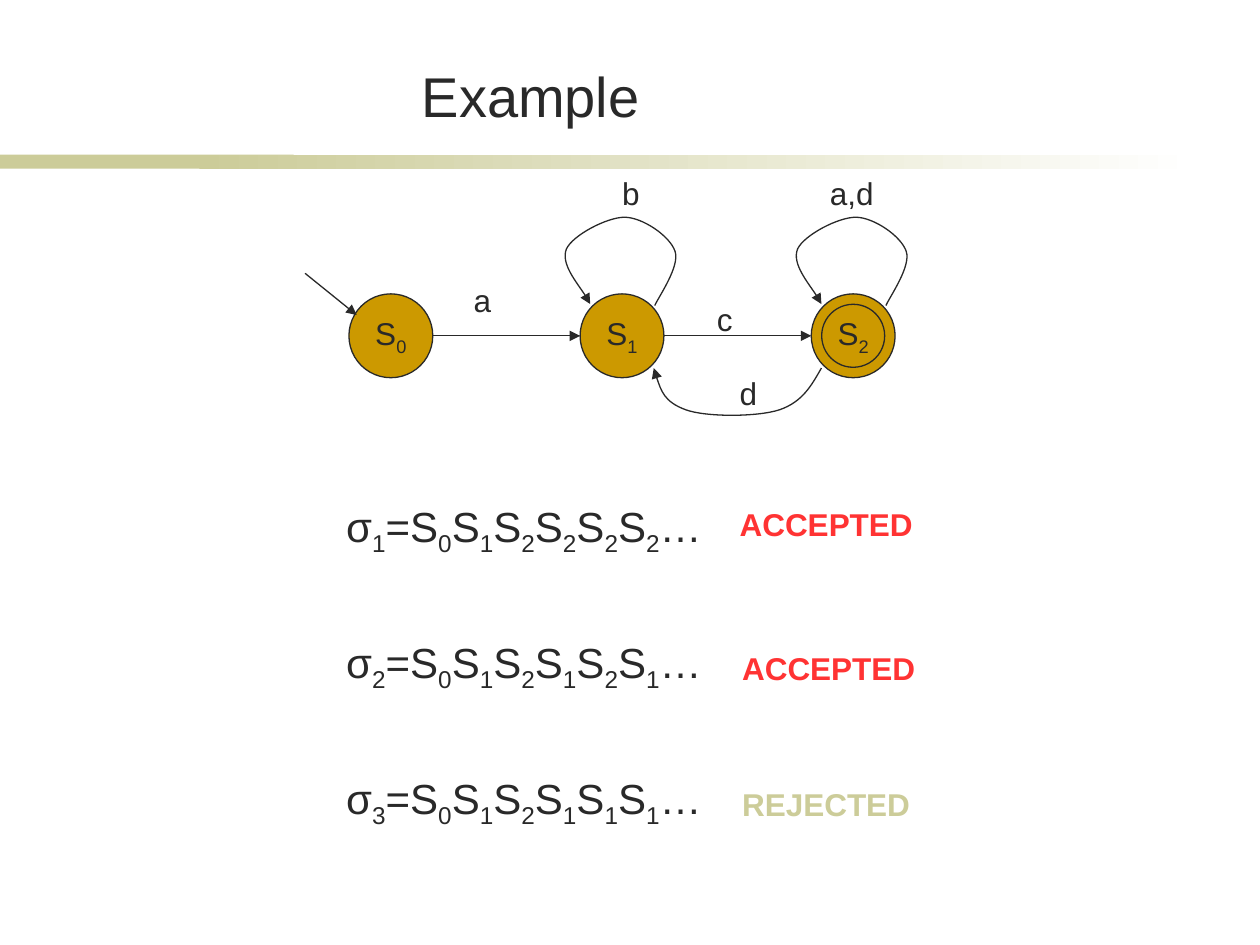
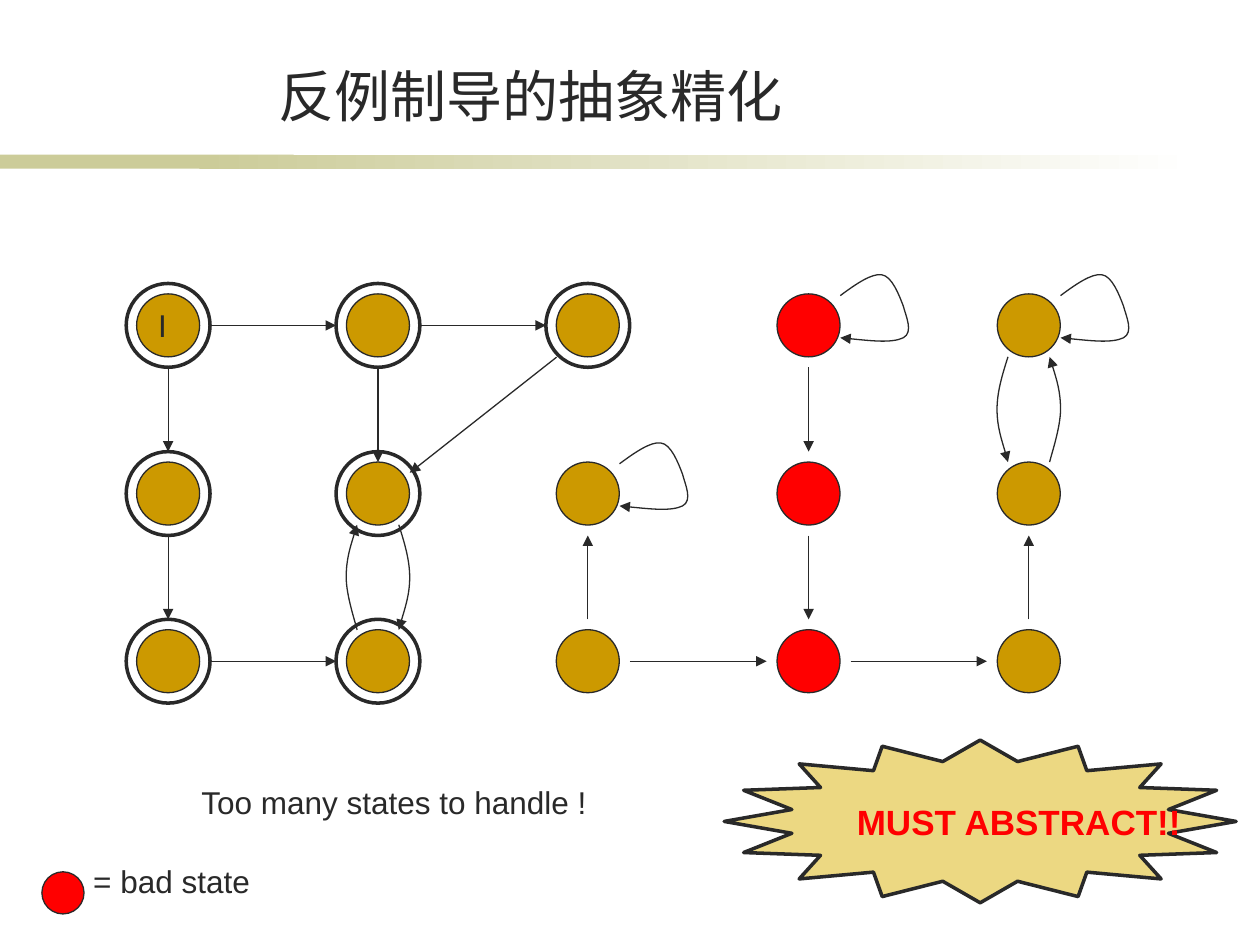
from dataclasses import dataclass
from itertools import groupby

from lxml import etree
from pptx import Presentation
from pptx.dml.color import RGBColor
from pptx.enum import shapes, text
from pptx.oxml.ns import qn
from pptx.slide import Slide
from pptx.util import Cm, Pt

Point = tuple[float, float]

# Shared look
INK, GOLD, RED, SAND = "292929", "CC9900", "FF0000", "CCCC99"
WHITE, STRAW, CORAL = "FFFFFF", "ECD882", "FF3333"
FONT = "Arial"
STATE, NODE, RING, KEY = 1.69, 1.27, 1.69, 0.85  # circle diameters


@dataclass
class Label:
    words: str
    left: float
    top: float
    width: float = 0.91
    height: float = 1.02
    size: int = 18
    colour: str = INK
    bold: bool = False


@dataclass
class Circle:
    centre: Point
    size: float
    fill: str | None = GOLD
    words: str = ""
    line: float = 0.75
    align: text.PP_ALIGN = text.PP_ALIGN.CENTER


def rgb(colour: str) -> RGBColor:
    return RGBColor.from_string(colour)


def outline(item, width: float = 0.75, arrow: bool = False) -> None:
    item.line.color.rgb = rgb(INK)
    item.line.width = Pt(width)
    if arrow:
        line = item._element.xpath(".//a:ln")[0]
        etree.SubElement(line, qn("a:tailEnd"), type="triangle")


def write(box, words: str, size: int = 18, colour: str = INK, bold: bool = False,
          align: text.PP_ALIGN = text.PP_ALIGN.LEFT) -> None:
    """Fill a shape with one paragraph; digits become subscripts."""
    para = box.text_frame.paragraphs[0]
    para.alignment = align
    para.font.name, para.font.size, para.font.bold = FONT, Pt(size), bold
    para.font.color.rgb = rgb(colour)
    for is_digit, letters in groupby(words, str.isdigit):
        span = para.add_run()
        span.text = "".join(letters)
        if is_digit:
            span._r.get_or_add_rPr().set("baseline", "-25000")


def add_label(page: Slide, label: Label) -> None:
    box = page.shapes.add_textbox(Cm(label.left), Cm(label.top), Cm(label.width), Cm(label.height))
    box.text_frame.word_wrap = True
    write(box, label.words, label.size, label.colour, label.bold)


def add_shape(page: Slide, kind, left: float, top: float, width: float, height: float, fill: str | None):
    shape = page.shapes.add_shape(kind, Cm(left), Cm(top), Cm(width), Cm(height))
    shape.shadow.inherit = False
    if fill:
        shape.fill.solid()
        shape.fill.fore_color.rgb = rgb(fill)
    else:
        shape.fill.background()
    shape.text_frame.word_wrap = False
    shape.text_frame.vertical_anchor = text.MSO_ANCHOR.MIDDLE
    return shape


def add_circle(page: Slide, circle: Circle) -> None:
    x, y = circle.centre
    half = circle.size / 2
    shape = add_shape(page, shapes.MSO_SHAPE.OVAL, x - half, y - half, circle.size, circle.size, circle.fill)
    outline(shape, circle.line)
    if circle.words:
        write(shape, circle.words, align=circle.align)


def add_arrow(page: Slide, start: Point, end: Point) -> None:
    arrow = page.shapes.add_connector(shapes.MSO_CONNECTOR.STRAIGHT, *map(Cm, start + end))
    outline(arrow, arrow=True)
    etree.SubElement(arrow._element.spPr, qn("a:effectLst"))


def add_curve(page: Slide, points: list[Point], origin: Point = (0, 0)) -> None:
    """Draw a Bézier arrow: a start point, then three points per segment."""
    first, *rest = [(Cm(origin[0] + x), Cm(origin[1] + y)) for x, y in points]
    builder = page.shapes.build_freeform(*first)
    builder.add_line_segments(rest, close=False)
    curve = builder.convert_to_shape()
    curve.shadow.inherit = False
    curve.fill.background()
    outline(curve, arrow=True)
    route = curve._element.xpath(".//a:path")[0]
    steps = iter(route.findall(qn("a:lnTo")))
    for trio in zip(steps, steps, steps):
        bezier = etree.SubElement(route, qn("a:cubicBezTo"))
        for step in trio:
            bezier.append(step[0])
            route.remove(step)


def prepare_layout(deck, layout) -> None:
    """Put the title place and the fading band on the layout."""
    title = layout.placeholders[0]
    title.left, title.top, title.width, title.height = Cm(2.9), Cm(1.12), Cm(15.6), Cm(1.6)
    draft = deck.slides[0]
    solid = add_shape(draft, shapes.MSO_SHAPE.RECTANGLE, 0, 3.12, 5.92, 0.28, SAND)
    fading = add_shape(draft, shapes.MSO_SHAPE.RECTANGLE, 4.02, 3.12, 20.11, 0.28, SAND)
    fading.fill.gradient()
    fading.fill.gradient_angle = 0
    for stop, position, colour in zip(fading.fill.gradient_stops, (0, 1), (SAND, WHITE)):
        stop.position, stop.color.rgb = position, rgb(colour)
    for band in (solid, fading):
        band.line.fill.background()
        layout.shapes.element.append(band._element)


def set_title(page: Slide, words: str) -> None:
    title = page.shapes.title
    title.text_frame.vertical_anchor = text.MSO_ANCHOR.BOTTOM
    title.text_frame.auto_size = text.MSO_AUTO_SIZE.NONE
    write(title, words, 32, align=text.PP_ALIGN.CENTER)


# Slide 1: automaton with accepted and rejected runs
STATE_LOOP = [(0.66, -0.61), (0.74, -0.79), (1.17, -1.4), (1.07, -1.7), (0.97, -2.01),
              (0.41, -2.39), (0.05, -2.39), (-0.3, -2.39), (-0.99, -2.03), (-1.12, -1.75),
              (-1.24, -1.45), (-0.74, -0.86), (-0.64, -0.64)]
RETURN_CURVE = [(16.56, 7.42), (16.36, 7.77), (16.18, 8.1), (15.72, 8.26), (15.27, 8.41),
                (14.22, 8.41), (13.82, 8.26), (13.39, 8.1), (13.28, 7.77), (13.18, 7.42)]
EDGE_LABELS = [Label("a", 9.3, 5.54), Label("b", 12.29, 3.38), Label("c", 14.2, 5.92),
               Label("d", 14.66, 7.42), Label("a,d", 16.48, 3.38, width=2.03)]
RUNS = ["σ1=S0S1S2S2S2S2…", "σ2=S0S1S2S1S2S1…", "σ3=S0S1S2S1S1S1…"]
VERDICTS = [("ACCEPTED", 14.66, 10.06, CORAL), ("ACCEPTED", 14.71, 12.95, CORAL),
            ("REJECTED", 14.71, 15.7, SAND)]


def draw_example(page: Slide) -> None:
    set_title(page, "Example")
    states = [(7.88 + 4.66 * i, 6.77) for i in range(3)]
    for i, centre in enumerate(states):
        add_circle(page, Circle(centre, STATE, words=f"S{i}" if i < 2 else ""))
    add_circle(page, Circle(states[2], NODE, words="S2"))  # accepting state

    add_arrow(page, (6.15, 5.51), (7.19, 6.35))
    for (x1, y), (x2, _) in zip(states, states[1:]):
        add_arrow(page, (x1 + STATE / 2, y), (x2 - STATE / 2, y))
    for centre in states[1:]:
        add_curve(page, STATE_LOOP, centre)
    add_curve(page, RETURN_CURVE)

    for label in EDGE_LABELS:
        add_label(page, label)
    for i, run in enumerate(RUNS):
        add_label(page, Label(run, 6.73, 9.96 + 2.74 * i, 7.95, 1.27, size=24))
    for words, left, top, colour in VERDICTS:
        add_label(page, Label(words, left, top, 4.1, colour=colour, bold=True))


# Slide 2: state grid, cells given as (column, row)
COLUMNS, ROWS = (3.39, 7.62, 11.85, 16.3, 20.74), (6.56, 9.95, 13.33)
BAD_COLUMN = 3
REACHED = [(0, 0), (1, 0), (2, 0), (0, 1), (1, 1), (0, 2), (1, 2)]
MOVES = [((0, 0), (1, 0)), ((1, 0), (2, 0)), ((0, 0), (0, 1)), ((0, 1), (0, 2)),
         ((0, 2), (1, 2)), ((2, 2), (2, 1)), ((2, 2), (3, 2)), ((3, 0), (3, 1)),
         ((3, 1), (3, 2)), ((3, 2), (4, 2)), ((4, 2), (4, 1))]
LOOPED = [(2, 1), (3, 0), (4, 0)]
NODE_LOOP = [(0.64, -0.6), (0.95, -0.83), (1.27, -1.05), (1.47, -1.02), (1.68, -1),
             (1.83, -0.6), (1.91, -0.39), (1.96, -0.19), (2.12, 0.14), (1.91, 0.25),
             (1.68, 0.36), (1.15, 0.3), (0.64, 0.25)]
BEND = [(0.42, -1.06), (0.53, -0.71), (0.64, -0.36), (0.64, 0), (0.64, 0.36), (0.46, 0.89), (0.42, 1.06)]


def cell(column: int, row: int) -> Point:
    return COLUMNS[column], ROWS[row]


def add_move(page: Slide, start: Point, end: Point, gap: float = RING / 2) -> None:
    """Arrow along a row or column, kept clear of both nodes."""
    dx, dy = ((b > a) - (b < a) for a, b in zip(start, end))
    clear = RING / 2
    add_arrow(page, (start[0] + dx * clear, start[1] + dy * clear), (end[0] - dx * gap, end[1] - dy * gap))


def add_bends(page: Slide, column: int, upper_row: int, down_side: int) -> None:
    """Pair of bent arrows between two rows; down_side is 1 for right, -1 for left."""
    middle = (COLUMNS[column], (ROWS[upper_row] + ROWS[upper_row + 1]) / 2)
    add_curve(page, [(down_side * x, y) for x, y in BEND], middle)
    add_curve(page, [(-down_side * x, y) for x, y in reversed(BEND)], middle)


def draw_refinement(page: Slide) -> None:
    set_title(page, "反例制导的抽象精化")
    # Nodes
    for column in range(len(COLUMNS)):
        for row in range(len(ROWS)):
            fill = RED if column == BAD_COLUMN else GOLD
            words = "I" if (column, row) == (0, 0) else ""
            add_circle(page, Circle(cell(column, row), NODE, fill, words, align=text.PP_ALIGN.LEFT))

    # Transitions
    for start, end in MOVES:
        add_move(page, cell(*start), cell(*end))
    add_move(page, cell(1, 0), cell(1, 1), gap=NODE / 2)
    add_arrow(page, (11.22, 7.2), (8.26, 9.53))
    for place in LOOPED:
        add_curve(page, NODE_LOOP, cell(*place))
    add_bends(page, column=1, upper_row=1, down_side=1)
    add_bends(page, column=4, upper_row=0, down_side=-1)
    for place in REACHED:
        add_circle(page, Circle(cell(*place), RING, fill=None, line=2))

    # Captions, key and call to action
    add_label(page, Label("Too many states to handle !", 3.81, 15.67, 11.02, 1.27))
    add_circle(page, Circle((1.27, 18), KEY, RED))
    add_label(page, Label("= bad state", 1.63, 17.25, 4.88, 1.27))
    star = add_shape(page, shapes.MSO_SHAPE.STAR_16_POINT, 14.6, 14.92, 10.32, 3.28, STRAW)
    outline(star, 2)
    write(star, "MUST ABSTRACT!!", 20, RED, bold=True)


def main() -> None:
    deck = Presentation()
    deck.slide_width, deck.slide_height = Cm(25.4), Cm(19.05)
    layout = deck.slide_layouts.get_by_name("Title Only")
    pages = [deck.slides.add_slide(layout) for _ in range(2)]
    prepare_layout(deck, layout)
    for page, draw in zip(pages, (draw_example, draw_refinement)):
        draw(page)
    deck.save("out.pptx")


if __name__ == "__main__":
    main()
